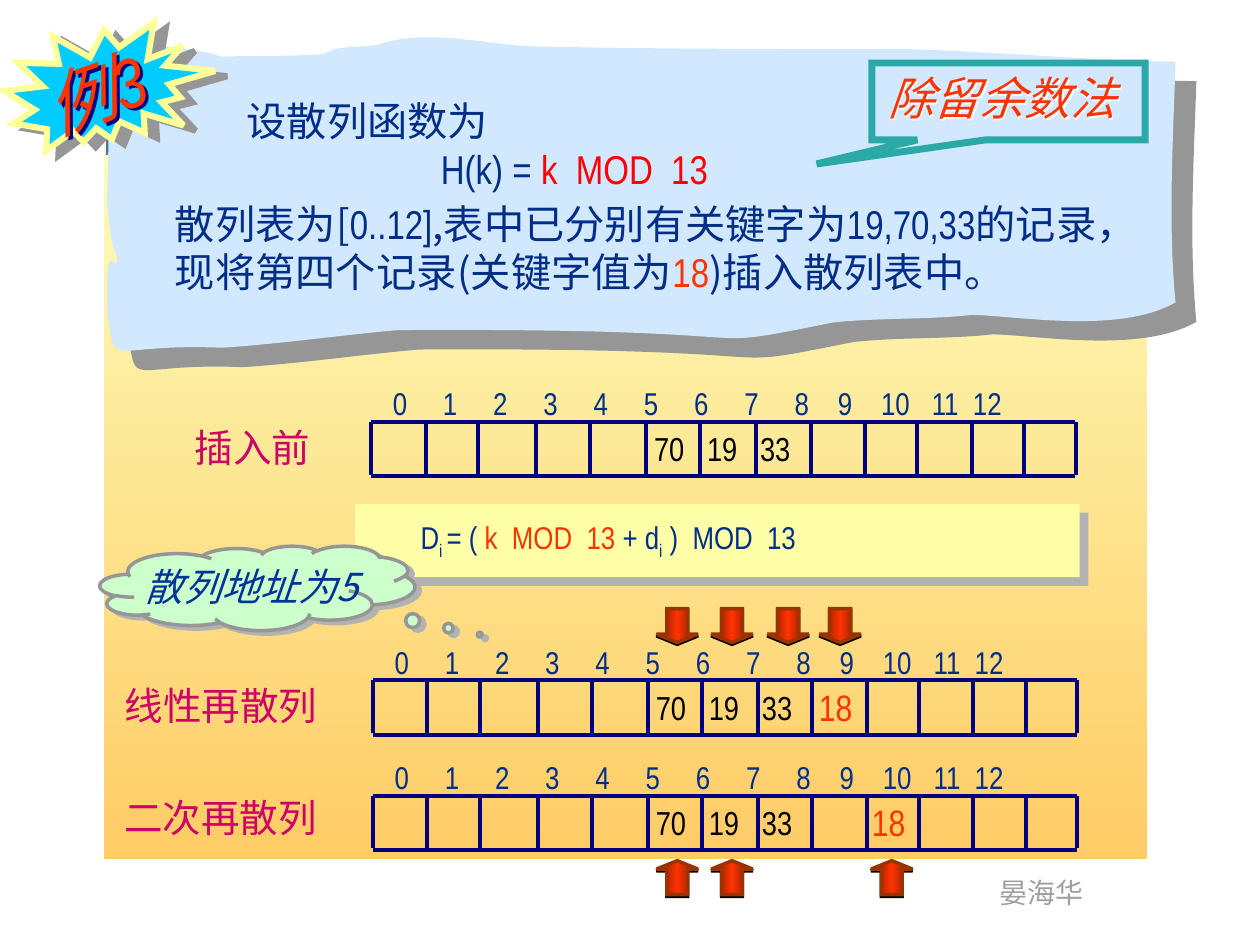
from lxml import etree
from pptx import Presentation
from pptx.dml.color import RGBColor
from pptx.enum import shapes
from pptx.oxml import parse_xml
from pptx.oxml.ns import qn
from pptx.util import Pt

NS = 'xmlns:a="http://schemas.openxmlformats.org/drawingml/2006/main"'
NARROW, CJK = "Arial Narrow", "Noto Sans CJK SC"
NAVY, RED, GRID, MAGENTA = "002D88", "FF3300", "000080", "CC0066"
GREY = "969696"
KIND = shapes.MSO_SHAPE

prs = Presentation()
prs.slide_width, prs.slide_height = Pt(720), Pt(540)
s = prs.slides.add_slide(prs.slide_layouts[6])


def paint(sp, fill=None, line=None, width=1, shadow=None, angle=0):
    """Fill is a hex colour or a list of gradient colours; shadow is (colour, distance, angle)."""
    sp.shadow.inherit = False
    effects = sp._element.spPr.find(qn("a:effectLst"))
    if isinstance(fill, list):
        stops = "".join(
            f'<a:gs pos="{100000 * i // (len(fill) - 1)}"><a:srgbClr val="{c}"/></a:gs>'
            for i, c in enumerate(fill))
        effects.addprevious(parse_xml(
            f'<a:gradFill {NS} rotWithShape="1"><a:gsLst>{stops}</a:gsLst>'
            f'<a:lin ang="{angle * 60000}" scaled="0"/></a:gradFill>'))
    elif fill:
        sp.fill.solid()
        sp.fill.fore_color.rgb = RGBColor.from_string(fill)
    else:
        sp.fill.background()
    if line:
        sp.line.color.rgb = RGBColor.from_string(line)
        sp.line.width = Pt(width)
        etree.SubElement(sp._element.spPr.find(qn("a:ln")), qn("a:miter"), lim="800000")
    else:
        sp.line.fill.background()
    if shadow:
        colour, distance, direction = shadow
        effects.append(parse_xml(
            f'<a:outerShdw {NS} dist="{int(Pt(distance))}" dir="{direction * 60000}" '
            f'algn="ctr" rotWithShape="0"><a:srgbClr val="{colour}"/></a:outerShdw>'))


def write(x, y, w, h, size, colour, *paragraphs, tabs=(), italic=False):
    """Each paragraph is a list of (text, colour, font, baseline); the last three are optional."""
    box = s.shapes.add_textbox(Pt(x), Pt(y), Pt(w), Pt(h))
    tf = box.text_frame
    tf.word_wrap = True
    for i, runs in enumerate(paragraphs):
        p = tf.add_paragraph() if i else tf.paragraphs[0]
        if tabs:
            stops = etree.SubElement(p._p.get_or_add_pPr(), qn("a:tabLst"))
            for stop in tabs:
                etree.SubElement(stops, qn("a:tab"), pos=str(int(Pt(stop))), algn="l")
        for content, *options in runs:
            run_colour, font, baseline = (options + [None] * 3)[:3]
            r = p.add_run()
            r.text = content
            r.font.size, r.font.italic = Pt(size), italic
            r.font.color.rgb = RGBColor.from_string(run_colour or colour)
            r.font.name = font or NARROW
            rPr = r.font._element
            rPr.find(qn("a:latin")).addnext(parse_xml(f'<a:ea {NS} typeface="{CJK}"/>'))
            if baseline:
                rPr.set("baseline", str(baseline * 1000))
    return box


# Backdrop and author
sp = s.shapes.add_shape(KIND.RECTANGLE, Pt(59.5), Pt(79.2), Pt(596), Pt(411.8))
paint(sp, ["FCFEBC", "FFCC66"], angle=90)
sp = s.shapes.add_shape(KIND.RECTANGLE, Pt(60.5), Pt(77.8), Pt(595), Pt(10.8))
paint(sp, ["496DB6", "6699FF"])
write(564, 496.8, 66, 26.6, 16, "9F9F9F", [("晏海华",)])

# Torn paper: start point, then Bezier curves, in hundredths of an inch
start = (109, 36)
curves = [
    (132, 37, 155, 38, 176, 45), (203, 44, 229, 45, 255, 43),
    (259, 43, 262, 40, 266, 39), (276, 37, 287, 37, 298, 36),
    (342, 21, 387, 37, 432, 37), (528, 39, 624, 39, 720, 39),
    (792, 41, 862, 48, 933, 49), (931, 113, 927, 177, 933, 240),
    (888, 266, 803, 250, 771, 250), (734, 254, 698, 252, 661, 256),
    (535, 281, 648, 260, 316, 262), (270, 266, 223, 273, 176, 276),
    (83, 272, 92, 296, 85, 246), (86, 233, 84, 220, 87, 207),
    (87, 205, 93, 211, 93, 209), (94, 203, 90, 198, 89, 192),
    (87, 181, 86, 171, 85, 160), (86, 133, 86, 106, 87, 78),
    (88, 65, 95, 52, 95, 39),
]
builder = s.shapes.build_freeform(*start, scale=Pt(0.72))
builder.add_line_segments([c[i:i + 2] for c in curves for i in (0, 2, 4)], close=True)
sp = builder.convert_to_shape()
# Join every three straight segments into one curve
segments = list(sp._element.iter(qn("a:lnTo")))[:3 * len(curves)]
for i in range(0, len(segments), 3):
    curve = etree.Element(qn("a:cubicBezTo"))
    segments[i].addprevious(curve)
    for segment in segments[i:i + 3]:
        curve.append(segment[0])
        segment.getparent().remove(segment)
paint(sp, "D1E8FF", shadow=(GREY, 16.3, 43))

# Problem statement
box = write(
    92.9, 51.5, 560, 121.7, 23, NAVY,
    [("设散列函数为",)],
    [("H(k) = ",), ("k  MOD  13", "FF0000")],
    [("散列表为[", NAVY, CJK), ("0..12]",), (",表中已分别有关键字为", NAVY, CJK),
     ("19,70,33",), ("的记录，现将第四个记录(关键字值为", NAVY, CJK),
     ("18", RED), (")插入散列表中。", NAVY, CJK)])
for p, indent in zip(box.text_frame.paragraphs, (41, 152)):
    p._p.get_or_add_pPr().set("marL", str(int(Pt(indent))))
box.text_frame.paragraphs[1].space_after = Pt(3.5)

# Method callout
sp = s.shapes.add_shape(KIND.RECTANGULAR_CALLOUT, Pt(498.2), Pt(36), Pt(156.2), Pt(43.9))
sp.adjustments[0], sp.adjustments[1] = -0.702, 0.814
paint(sp, line="2AA9A6", width=4)
box = write(500.4, 36.7, 180, 38.2, 26, RED, [("除留余数法",)], italic=True)
paint(box, shadow=("FFFFFF", 1.4, 45))

# Hash tables: grid left and top, label with its place, left of the inserted key
COLUMNS = (0, 31, 61, 94, 125, 157, 188, 220, 251, 282, 312, 343, 373, 402.5)
INDEX_TABS = [28.7 * i for i in range(1, 9)] + [254.3, 279, 308, 331.5]
tables = [
    (212.2, 241.2, "插入前", 104.2, 238.5, None),
    (213.2, 388.8, "线性再散列", 64.3, 386.2, 460.8),
    (213.2, 454.7, "二次再散列", 64.1, 450, 491.2),
]
for left, top, label, label_x, label_y, key_x in tables:
    write(label_x, label_y, 146, 33.8, 22, MAGENTA, [(label,)])
    bottom = top + 31
    lines = [(left, y, left + 402, y) for y in (top, bottom)]
    lines += [(left + c, top, left + c, bottom - 1) for c in COLUMNS]
    for ends in lines:
        line = s.shapes.add_connector(shapes.MSO_CONNECTOR.STRAIGHT, *map(Pt, ends))
        line.line.color.rgb = RGBColor.from_string(GRID)
        line.line.width = Pt(2.25)
        etree.SubElement(line._element.spPr, qn("a:effectLst"))
    write(left + 5.2, top - 25, 402, 28.8, 18, NAVY,
          [("\t".join(map(str, range(13))),)], tabs=INDEX_TABS)
    write(left + 154.5, top + 0.2, 100, 30.2, 19, "000000",
          [("70\t19\t33",)], tabs=(30.3, 60.6))
    if key_x:
        write(key_x, top - 1.2, 35.3, 32.4, 21, RED, [("18",)])

# Rehash formula
sp = s.shapes.add_shape(KIND.RECTANGLE, Pt(203), Pt(288), Pt(414), Pt(41.8))
paint(sp, "FFFFA7", shadow=("B2B2B2", 7.1, 45))
write(233.2, 292.3, 398, 36, 18, NAVY,
      [("D",), ("i ", NAVY, NARROW, -25), ("= ( ",), ("k  MOD  13", RED),
       (" + d",), ("i", NAVY, NARROW, -25), (" )  MOD  13",)])

# Address cloud
sp = s.shapes.add_shape(KIND.CLOUD_CALLOUT, Pt(57.1), Pt(312), Pt(180), Pt(48.2))
sp.adjustments[0], sp.adjustments[1] = 0.706, 0.552
paint(sp, "CCFFCC", GREY, 2, ("B2B2B2", 3.6, 34))
write(75.6, 318.2, 167.8, 33.8, 22, "003399", [("散列地址为5", None, CJK)], italic=True)

# Probe arrows: above the linear table, below the quadratic one
arrows = [(x, 347.8, 0) for x in (375.1, 406.4, 438.5, 468.2)]
arrows += [(x, 491.8, 180) for x in (375.1, 406.4, 497.7)]
for x, y, rotation in arrows:
    sp = s.shapes.add_shape(KIND.DOWN_ARROW, Pt(x), Pt(y), Pt(23.8), Pt(19.4))
    sp.adjustments[0], sp.adjustments[1] = 0.5, 0.25
    sp.rotation = rotation
    paint(sp, ["761800", RED, "761800"], "993300", 2, ("000000", 1, 90))

# Example badge
sp = s.shapes.add_shape(KIND.EXPLOSION2, Pt(2.9), Pt(10.8), Pt(118.8), Pt(78.5))
sp.rotation = 5.4
paint(sp, "00CCFF", "FFFF99", 3.5, (GREY, 7.6, 23))
box = write(17.3, 19.4, 107.3, 55.4, 40, RED, [("例", None, CJK), ("3",)], italic=True)
box.rotation = 340.5
paint(box, shadow=(GRID, 2, 45))

prs.save("out.pptx")
